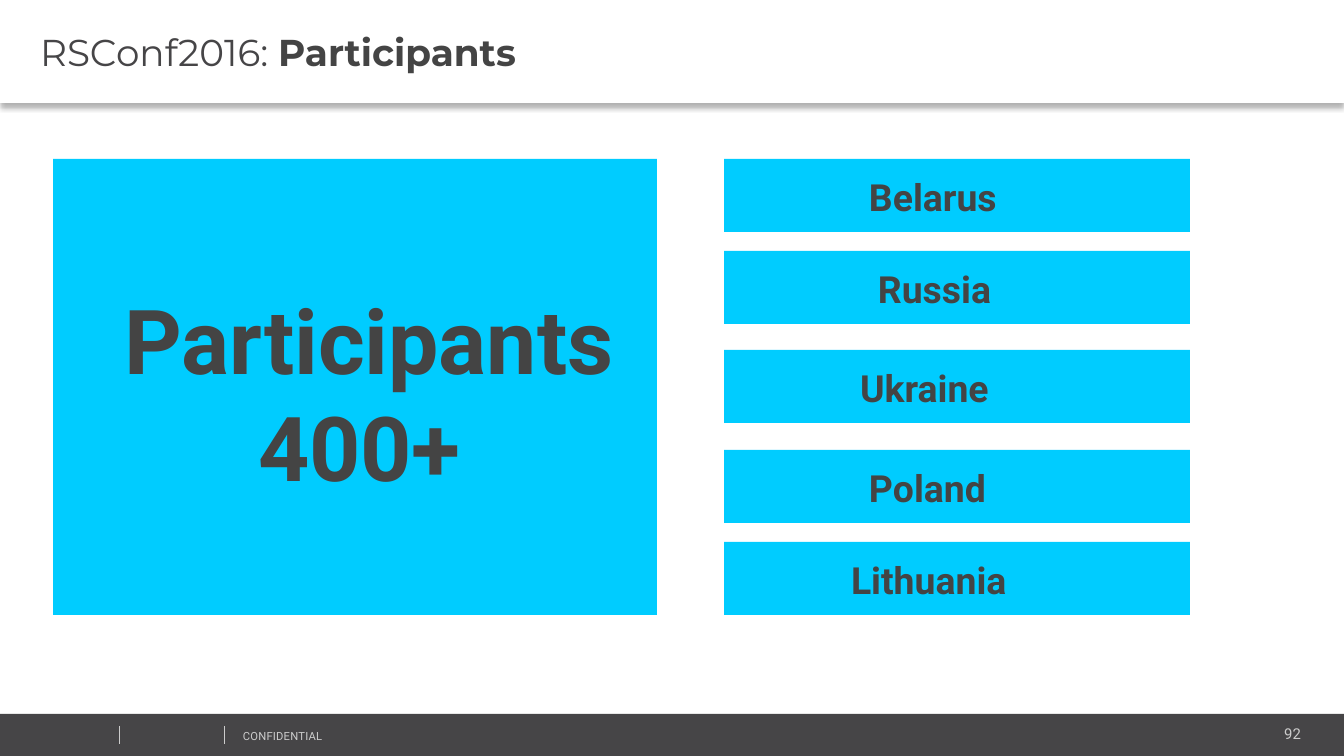
from dataclasses import dataclass

from lxml.etree import SubElement
from pptx import Presentation
from pptx.dml.color import RGBColor
from pptx.enum.shapes import MSO_CONNECTOR, MSO_SHAPE
from pptx.enum.text import MSO_ANCHOR, PP_ALIGN
from pptx.oxml.ns import qn
from pptx.util import Emu, Pt

EMU_PER_PX = 914400 / 134.4
PAGE_WIDTH, PAGE_HEIGHT = 1344, 756

WHITE, CYAN, CHARCOAL, DARK, PALE = "FFFFFF", "00CCFF", "464547", "444444", "CCCCCC"

LIGHT_TITLE = {"name": "Montserrat", "size": Pt(20), "bold": False, "color": CHARCOAL}
BOLD_TITLE = LIGHT_TITLE | {"bold": True, "color": DARK}
COUNTRY_FONT = {"name": "Roboto", "size": Pt(20), "bold": True, "color": DARK}
HEADLINE_FONT = COUNTRY_FONT | {"size": Pt(48)}
NUMBER_FONT = {"name": "Roboto", "size": Pt(8), "color": PALE}
FOOTER_FONT = NUMBER_FONT | {"size": Pt(6)}


@dataclass
class Area:
    left: int
    top: int
    width: int
    height: int

    def emu(self) -> list[Emu]:
        return [px(v) for v in (self.left, self.top, self.width, self.height)]


@dataclass
class Country:
    name: str
    top: int
    indent: int


COUNTRIES = [
    Country("Belarus", 159, 145),
    Country("Russia", 251, 154),
    Country("Ukraine", 350, 136),
    Country("Poland", 450, 145),
    Country("Lithuania", 542, 127),
]


def px(length: int) -> Emu:
    return Emu(round(length * EMU_PER_PX))


def color(value: str) -> RGBColor:
    return RGBColor.from_string(value)


def add_span(para, text: str, font: dict):
    span = para.add_run()
    span.text = text
    for key, value in font.items():
        if key == "color":
            span.font.color.rgb = color(value)
        else:
            setattr(span.font, key, value)
    return span


def format_frame(box, margins: tuple[int, int, int, int], anchor=MSO_ANCHOR.MIDDLE):
    """Set left, top, right and bottom margins; return the first paragraph."""
    frame = box.text_frame
    frame.word_wrap = True
    frame.vertical_anchor = anchor
    for side, margin in zip(("left", "top", "right", "bottom"), margins):
        setattr(frame, f"margin_{side}", px(margin))
    para = frame.paragraphs[0]
    para.alignment = PP_ALIGN.LEFT
    return para


def add_block(page, area: Area, fill: str):
    box = page.shapes.add_shape(MSO_SHAPE.RECTANGLE, *area.emu())
    box.shadow.inherit = False
    box.fill.solid()
    box.fill.fore_color.rgb = color(fill)
    box.line.fill.background()
    return box


def add_divider(page, left: int) -> None:
    line = page.shapes.add_connector(
        MSO_CONNECTOR.STRAIGHT, px(left), px(726), px(left), px(744))
    line.line.color.rgb = color(PALE)
    line.line.width = Pt(0.25)
    SubElement(line._element.spPr, qn("a:effectLst"))


def add_label(page, area: Area, text: str, font: dict, alignment):
    box = page.shapes.add_textbox(*area.emu())
    para = format_frame(box, (9, 5, 9, 5), MSO_ANCHOR.TOP)
    para.alignment = alignment
    return add_span(para, text, font)


def add_footer(page) -> None:
    add_block(page, Area(0, 714, PAGE_WIDTH, 42), CHARCOAL)
    add_label(page, Area(1091, 720, 219, 28), "92", NUMBER_FONT, PP_ALIGN.RIGHT)
    span = add_label(page, Area(234, 724, 340, 24), "CONFIDENTIAL", FOOTER_FONT,
                     PP_ALIGN.LEFT)
    span.font._element.set("spc", "10")
    for left in (119, 224):
        add_divider(page, left)


def format_title(page) -> None:
    title = page.shapes.title
    title.left, title.top, title.width, title.height = Area(0, 0, PAGE_WIDTH, 103).emu()
    title.fill.solid()
    title.fill.fore_color.rgb = color(WHITE)
    # Soft shadow below the title band
    effects = SubElement(title._element.spPr, qn("a:effectLst"))
    shadow = SubElement(effects, qn("a:outerShdw"), blurRad=str(Pt(3.1)),
                        dist=str(Pt(2)), dir="5400000", algn="t", rotWithShape="0")
    shade = SubElement(shadow, qn("a:srgbClr"), val="000000")
    SubElement(shade, qn("a:alpha"), val="30000")
    para = format_frame(title, (40, 5, 9, 5))
    add_span(para, "RSConf2016: ", LIGHT_TITLE)
    add_span(para, "Participants", BOLD_TITLE)


def add_headline(page) -> None:
    box = add_block(page, Area(53, 159, 604, 456), CYAN)
    para = format_frame(box, (71, 19, 17, 9))
    add_span(para, "Participants", HEADLINE_FONT)
    count = box.text_frame.add_paragraph()
    count.alignment = PP_ALIGN.LEFT
    count._p.get_or_add_pPr().set("marL", str(px(134)))
    add_span(count, "400+", HEADLINE_FONT)


def add_country(page, country: Country) -> None:
    box = add_block(page, Area(724, country.top, 466, 73), CYAN)
    para = format_frame(box, (country.indent, 12, 17, 9))
    add_span(para, country.name, COUNTRY_FONT)


def main() -> None:
    deck = Presentation()
    deck.slide_width, deck.slide_height = px(PAGE_WIDTH), px(PAGE_HEIGHT)
    page = deck.slides.add_slide(deck.slide_layouts[5])
    add_footer(page)
    format_title(page)
    add_headline(page)
    for country in COUNTRIES:
        add_country(page, country)
    deck.save("out.pptx")


if __name__ == "__main__":
    main()
